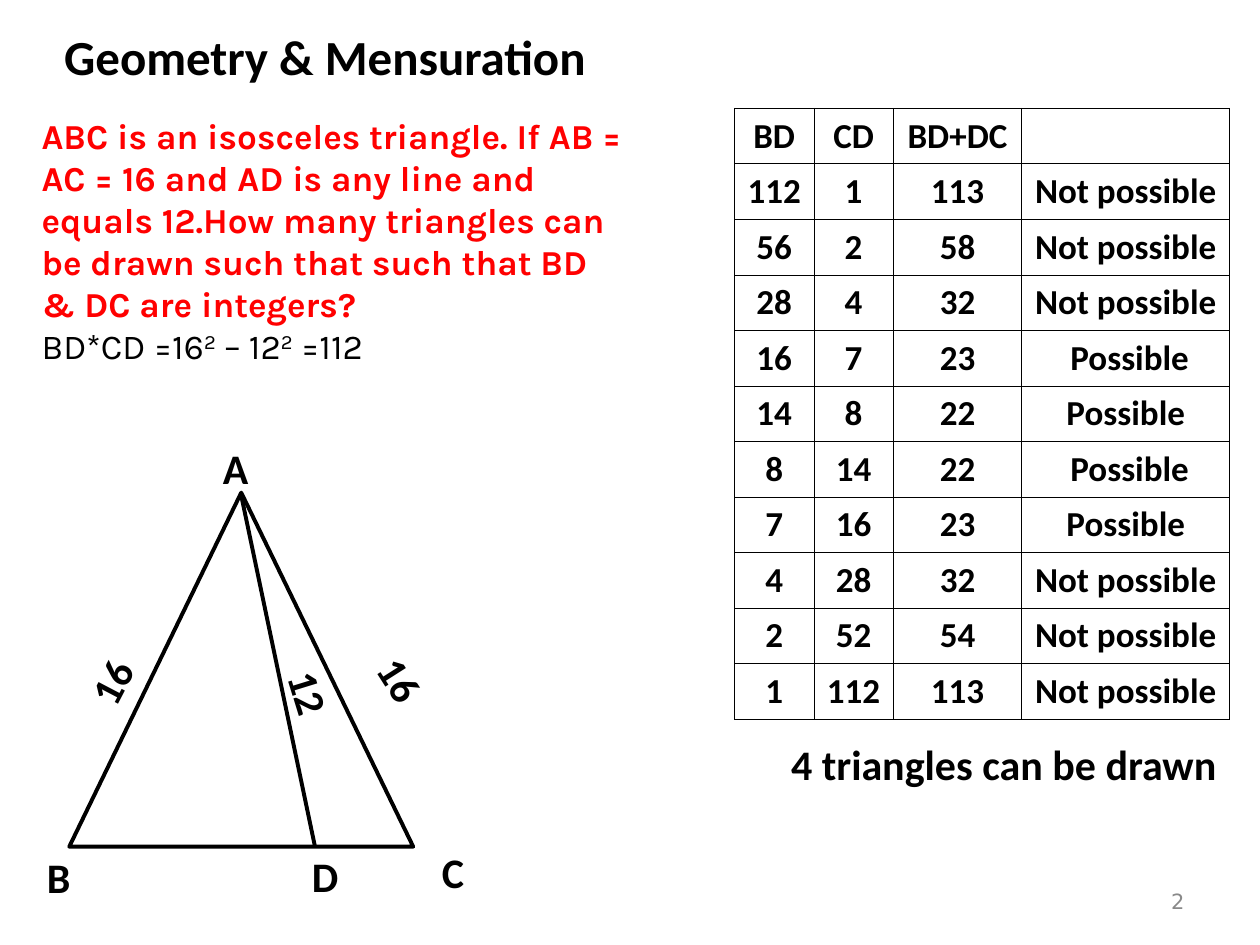
from lxml import etree
from pptx import Presentation
from pptx.dml.color import RGBColor
from pptx.enum.shapes import MSO_CONNECTOR, MSO_SHAPE
from pptx.enum.text import MSO_ANCHOR, MSO_AUTO_SIZE, PP_ALIGN
from pptx.oxml.ns import qn
from pptx.util import Inches, Pt

LEFT, MID, RIGHT = PP_ALIGN.LEFT, PP_ALIGN.CENTER, PP_ALIGN.RIGHT
TOP, HALF = MSO_ANCHOR.TOP, MSO_ANCHOR.MIDDLE
FIXED = MSO_AUTO_SIZE.NONE
RECT, PEAK = MSO_SHAPE.RECTANGLE, MSO_SHAPE.ISOSCELES_TRIANGLE
LINE = MSO_CONNECTOR.STRAIGHT
HUES = {"ink": "000000", "ask": "FF0000", "page": "898989", "white": "FFFFFF"}

TASK = ("ABC is an isosceles triangle. If AB = AC = 16 and AD is any line and "
        "equals 12.How many triangles can be drawn such that such that BD & DC "
        "are integers?")
SUM = [("BD*CD =16", False), ("2", True), (" – 12", False), ("2", True), (" =112", False)]
PAIRS = [(112, 1), (56, 2), (28, 4), (16, 7), (14, 8), (8, 14), (7, 16),
         (4, 28), (2, 52), (1, 112)]
NOTES = ["Not possible"] * 3 + [" Possible", "Possible"] * 2 + ["Not possible"] * 3
WIDTHS = [0.63, 0.63, 1.02, 1.65]
SIDES = [("12", (2.1, 5.16, 0.71, 0.68), 72.9),
         ("16", (0.6, 5.14, 0.56, 0.54), 297.6),
         ("16", (2.75, 5.05, 0.86, 0.69), 57.5)]
POINTS = [("A", (1.56, 3.45, 0.62, 0.53)), ("B", (0.23, 6.8, 0.47, 0.31))]
FRAMED = [("C", (3.36, 6.73, 0.47, 0.37)), ("D", (2.35, 6.8, 0.46, 0.3))]


def hue(name):
    return RGBColor.from_string(HUES[name])


def place(shape, area):
    shape.left, shape.top, shape.width, shape.height = map(Inches, area)


def add_run(para, text, size=24, font="Calibri", color="ink", bold=True, sup=False):
    run = para.add_run()
    run.text = text
    run.font.size = Pt(size)
    run.font.name = font
    run.font.bold = bold
    run.font.color.rgb = hue(color)
    if sup:
        run.font._element.set("baseline", "30000")


def set_frame(frame, anchor=TOP, wrap=True):
    frame.auto_size = FIXED
    frame.word_wrap = wrap
    frame.vertical_anchor = anchor
    return frame.paragraphs[0]


def add_text(slide, text, area, align=MID, anchor=HALF, turn=0, **look):
    box = slide.shapes.add_textbox(*map(Inches, area))
    box.rotation = turn
    para = set_frame(box.text_frame, anchor)
    para.alignment = align
    add_run(para, text, **look)
    return para


def add_form(slide, kind, area, color, width):
    form = slide.shapes.add_shape(kind, *map(Inches, area))
    form.shadow.inherit = False
    form.fill.background()
    form.line.color.rgb = hue(color)
    form.line.width = Pt(width)
    return form


def add_line(slide, start, end):
    line = slide.shapes.add_connector(LINE, *map(Inches, start + end))
    line.line.color.rgb = hue("ink")
    line.line.width = Pt(2.25)
    etree.SubElement(line._element.spPr, qn("a:effectLst"))


def add_title(slide):
    title = slide.shapes.title
    place(title, (0.41, 0.16, 4.35, 0.57))
    para = set_frame(title.text_frame, wrap=False)
    para.alignment = LEFT
    add_run(para, "Geometry & Mensuration", 28)


def add_task(slide):
    body = slide.placeholders[1]
    place(body, (0.23, 0.86, 4.84, 2.1))
    first = set_frame(body.text_frame)
    second = body.text_frame.add_paragraph()
    for para in (first, second):
        props = para._p.get_or_add_pPr()
        props.set("marL", "0")
        props.set("indent", "0")
        etree.SubElement(props, qn("a:buNone"))
        para.space_before = Pt(0)
    add_run(first, TASK, 20, "Karla", "ask")
    for text, sup in SUM:
        add_run(second, text, 20, "Karla", bold=False, sup=sup)


def add_edges(cell):
    props = cell._tc.get_or_add_tcPr()
    for side in ("lnL", "lnR", "lnT", "lnB"):
        edge = etree.SubElement(props, qn("a:" + side), w=str(Pt(0.45)))
        fill = etree.SubElement(edge, qn("a:solidFill"))
        etree.SubElement(fill, qn("a:srgbClr"), val=HUES["ink"])


def add_grid(slide):
    rows = [("BD", "CD", "BD+DC", "")]
    rows += [(b, c, b + c, note) for (b, c), note in zip(PAIRS, NOTES)]
    area = map(Inches, (5.83, 0.86, sum(WIDTHS), 4.8))
    grid = slide.shapes.add_table(len(rows), len(WIDTHS), *area).table
    for col, width in zip(grid.columns, WIDTHS):
        col.width = Inches(width)
    for r, row in enumerate(rows):
        grid.rows[r].height = Inches(4.8 / len(rows))
        for c, value in enumerate(row):
            cell = grid.cell(r, c)
            add_edges(cell)
            cell.fill.background()
            cell.vertical_anchor = HALF
            para = cell.text_frame.paragraphs[0]
            para.alignment = MID
            if value:
                add_run(para, str(value), 20)


def add_sketch(slide):
    add_form(slide, PEAK, (0.55, 3.91, 2.73, 2.81), "ink", 2.25)
    add_line(slide, (1.91, 3.91), (2.5, 6.72))
    for text, area, turn in SIDES:
        add_text(slide, text, area, turn=turn)
    for text, area in POINTS:
        add_text(slide, text, area)
    for text, area in FRAMED:
        form = add_form(slide, RECT, area, "white", 1.5)
        para = set_frame(form.text_frame, HALF)
        para.alignment = MID
        add_run(para, text)


def main():
    deck = Presentation()
    deck.slide_width, deck.slide_height = Inches(10), Inches(7.5)
    slide = deck.slides.add_slide(deck.slide_layouts[1])
    add_text(slide, "2", (7.17, 6.95, 2.33, 0.4), RIGHT, size=12,
             font="DejaVu Sans", color="page", bold=False)
    add_title(slide)
    add_sketch(slide)
    add_task(slide)
    add_grid(slide)
    para = add_text(slide, "4 triangles can be drawn", (6.18, 5.86, 3.58, 0.43), LEFT, TOP)
    para.line_spacing = 0.9
    deck.save("out.pptx")


if __name__ == "__main__":
    main()
